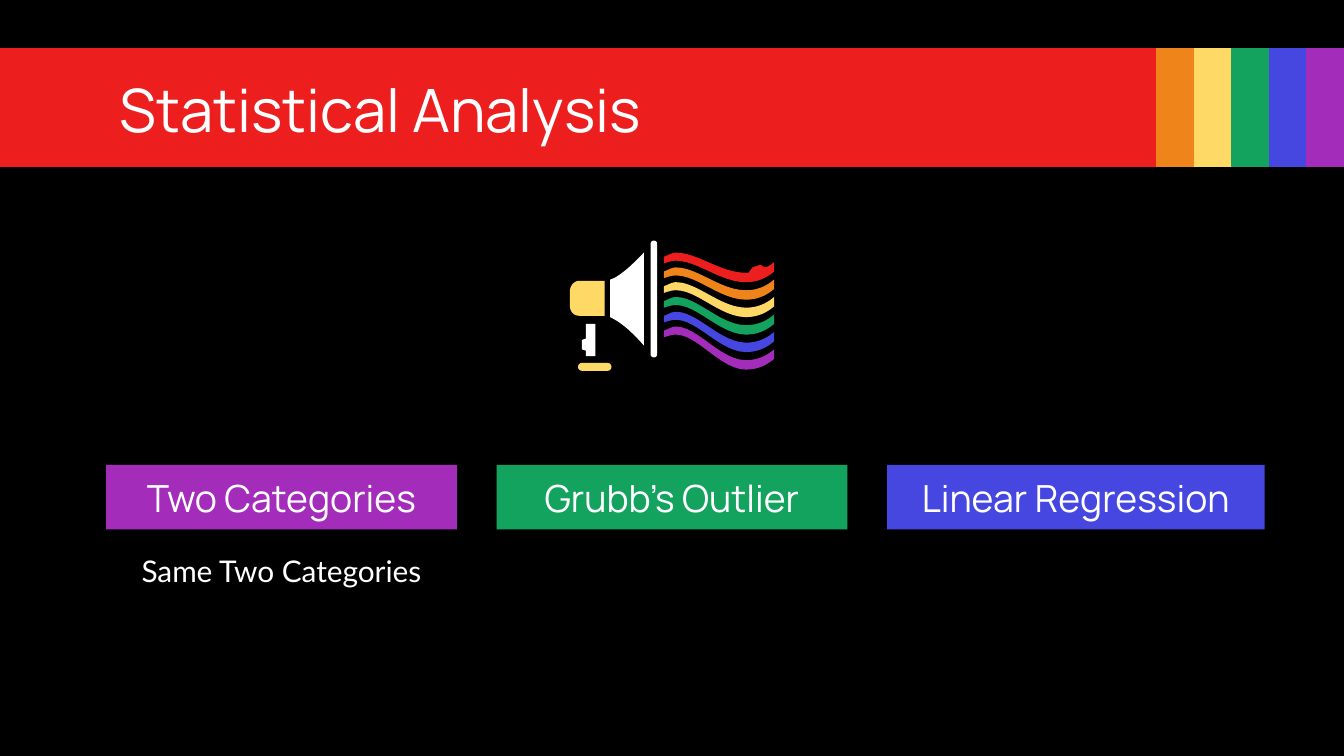
from pptx import Presentation
from pptx.dml.color import RGBColor
from pptx.enum.shapes import MSO_SHAPE
from pptx.enum.text import MSO_ANCHOR, MSO_AUTO_SIZE, PP_ALIGN
from pptx.oxml.ns import qn
from pptx.util import Inches, Pt
from lxml.etree import SubElement

BLACK = RGBColor(0x00, 0x00, 0x00)
WHITE = RGBColor(0xFF, 0xFF, 0xFF)
RED = RGBColor(0xEC, 0x1E, 0x1E)
ORANGE = RGBColor(0xEE, 0x84, 0x1A)
YELLOW = RGBColor(0xFF, 0xD9, 0x66)
GREEN = RGBColor(0x13, 0xA3, 0x5F)
BLUE = RGBColor(0x46, 0x46, 0xE0)
PURPLE = RGBColor(0xA3, 0x2C, 0xBB)
RAINBOW = [RED, ORANGE, YELLOW, GREEN, BLUE, PURPLE]


def paint(shape, color, edge=False):
    shape.shadow.inherit = False
    shape.fill.solid()
    shape.fill.fore_color.rgb = color
    if edge:
        shape.line.color.rgb = color
        shape.line.width = Pt(0.75)
    else:
        shape.line.fill.background()


def place(shape, left, top, width, height):
    shape.left, shape.top = Inches(left), Inches(top)
    shape.width, shape.height = Inches(width), Inches(height)


def write(shape, text, size=20, font="Manrope", color=WHITE,
          align=PP_ALIGN.CENTER, anchor=MSO_ANCHOR.MIDDLE):
    frame = shape.text_frame
    frame.word_wrap = True
    frame.auto_size = MSO_AUTO_SIZE.NONE
    frame.vertical_anchor = anchor
    frame.margin_left = frame.margin_right = Inches(0.1)
    frame.margin_top = frame.margin_bottom = Inches(0.1)
    para = frame.paragraphs[0]
    para.alignment = align
    para.space_before = Pt(0)
    props = para._p.get_or_add_pPr()
    props.set("marL", "0")
    props.set("indent", "0")
    SubElement(props, qn("a:buNone"))
    run = para.add_run()
    run.text = text
    run.font.size = Pt(size)
    run.font.name = font
    run.font.bold = False
    run.font.color.rgb = color


def block(shapes, kind, left, top, width, height, color, edge=False):
    shape = shapes.add_shape(kind, Inches(left), Inches(top),
                             Inches(width), Inches(height))
    paint(shape, color, edge)
    return shape


def curve(*knots, steps=12):
    points = []
    for step in range(steps + 1):
        t = step / steps
        parts = [(1 - t) ** 3, 3 * t * (1 - t) ** 2, 3 * t * t * (1 - t), t ** 3]
        points.append(tuple(sum(p * k[axis] for p, k in zip(parts, knots))
                            for axis in (0, 1)))
    return points


def outline(shapes, points, color):
    points = [(Inches(x), Inches(y)) for x, y in points]
    pen = shapes.build_freeform(*points[0])
    pen.add_line_segments(points[1:], close=True)
    paint(pen.convert_to_shape(), color)


def wave(left, crest, low, right):
    return (curve((4.94, left), (4.97, left - 0.01), (5, crest), (5.03, crest))
            + curve((5.03, crest), (5.19, crest), (5.36, low), (5.55, low))
            + curve((5.55, low), (5.62, low), (5.69, low - 0.02), (5.76, right)))


def flag(shapes):
    for row, color in enumerate(RAINBOW):
        drop, fall = 0.11 * row, 0.13 * row
        upper = wave(1.91 + drop, 1.88 + drop, 2.03 + fall, 1.95 + fall)
        lower = wave(1.96 + drop, 1.94 + drop, 2.1 + fall, 2.02 + fall)
        outline(shapes, upper + lower[::-1], color)
    outline(shapes, [(5.57, 2.03), (5.6, 1.99), (5.66, 1.97), (5.69, 1.99),
                     (5.73, 1.98), (5.7, 2.03)], RED)


def horn(shapes):
    grip = (curve((4.31, 2.35), (4.27, 2.35), (4.24, 2.32), (4.24, 2.27))
            + curve((4.24, 2.17), (4.24, 2.13), (4.27, 2.09), (4.31, 2.09)))
    outline(shapes, grip + [(4.5, 2.09), (4.5, 2.35)], YELLOW)
    cone = (curve((4.79, 2.57), (4.66, 2.42), (4.58, 2.38), (4.54, 2.36))
            + curve((4.54, 2.08), (4.58, 2.07), (4.66, 2.02), (4.79, 1.88)))
    outline(shapes, cone, WHITE)
    outline(shapes, [(4.36, 2.41), (4.43, 2.41), (4.43, 2.65), (4.36, 2.65),
                     (4.36, 2.61), (4.33, 2.6), (4.33, 2.53), (4.36, 2.52)], WHITE)
    for box, color in (((4.84, 1.79, 0.05, 0.87), WHITE),
                       ((4.3, 2.7, 0.25, 0.06), YELLOW)):
        bar = block(shapes, MSO_SHAPE.ROUNDED_RECTANGLE, *box, color)
        bar.adjustments[0] = 0.5


def band(shapes):
    block(shapes, MSO_SHAPE.RECTANGLE, 0, 0.36, 8.61, 0.88, RED, edge=True)
    step = (10 - 8.61) / 5
    for col, color in enumerate(RAINBOW[1:]):
        block(shapes, MSO_SHAPE.RECTANGLE, 8.61 + col * step, 0.36, step, 0.88,
              color, edge=True)


def main():
    deck = Presentation()
    deck.slide_width = Inches(10)
    deck.slide_height = Inches(10 * 9 / 16)
    slide = deck.slides.add_slide(deck.slide_layouts[4])
    slide.background.fill.solid()
    slide.background.fill.fore_color.rgb = BLACK
    title, *slots = list(slide.placeholders)

    group = slide.shapes.add_group_shape()
    band(group.shapes)
    tree = slide.shapes._spTree
    tree.remove(group._element)
    tree.insert(2, group._element)

    place(title, 0.79, 0.49, 8.43, 0.63)
    write(title, "Statistical Analysis", size=32, align=PP_ALIGN.LEFT)

    note, *heads = slots
    place(note, 0.79, 4.01, 2.61, 0.63)
    write(note, "Same Two Categories", size=16, font="Lato",
          anchor=MSO_ANCHOR.TOP)

    labels = [("Two Categories", 2.61, PURPLE), ("Grubb’s Outlier", 2.61, GREEN),
              ("Linear Regression", 2.81, BLUE)]
    step = (6.6 - 0.79) / 2
    for col, (head, (text, width, color)) in enumerate(zip(heads, labels)):
        place(head, 0.79 + col * step, 3.46, width, 0.48)
        head.fill.solid()
        head.fill.fore_color.rgb = color
        write(head, text)

    icon = slide.shapes.add_group_shape()
    horn(icon.shapes)
    flag(icon.shapes)
    deck.save("out.pptx")


if __name__ == "__main__":
    main()
